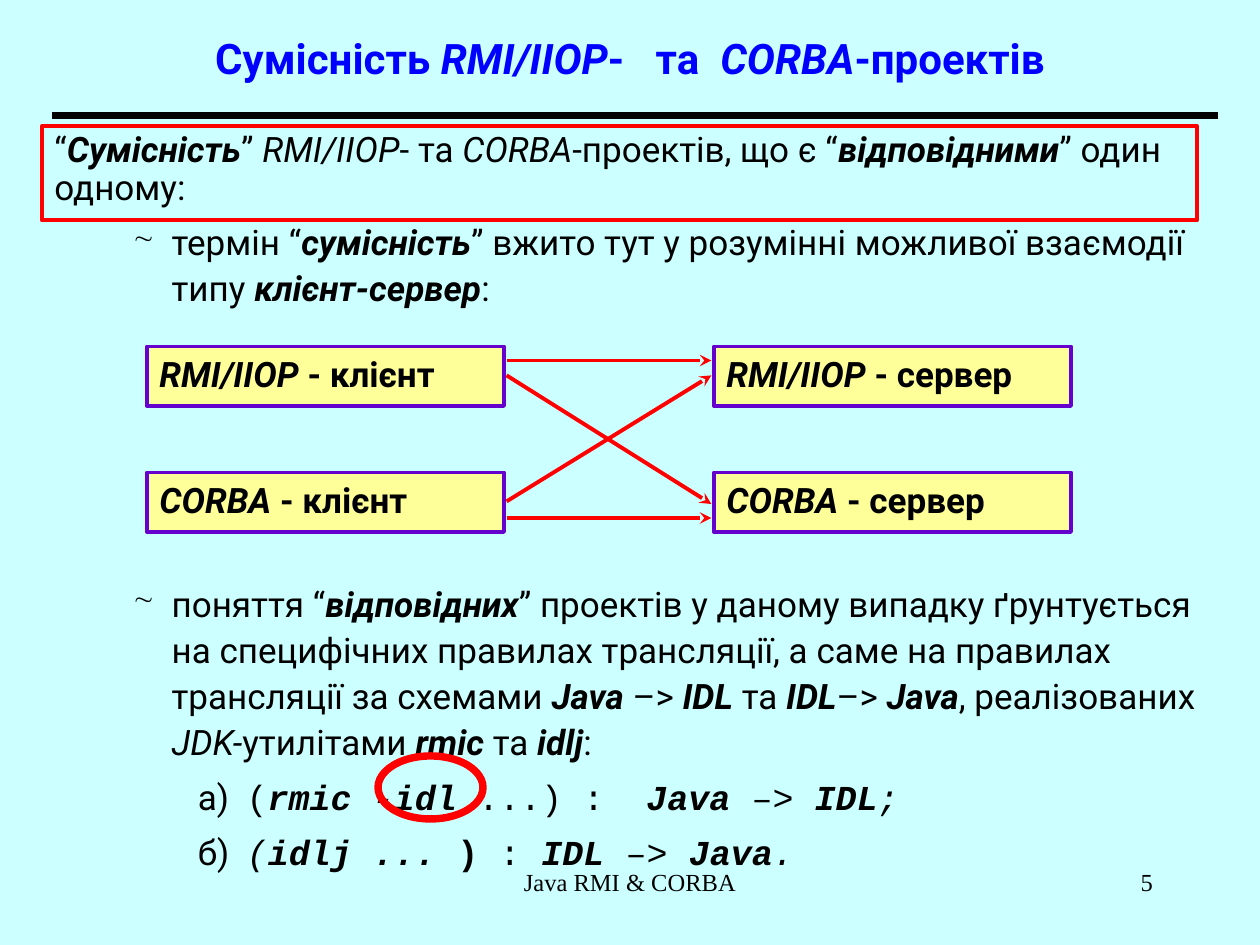
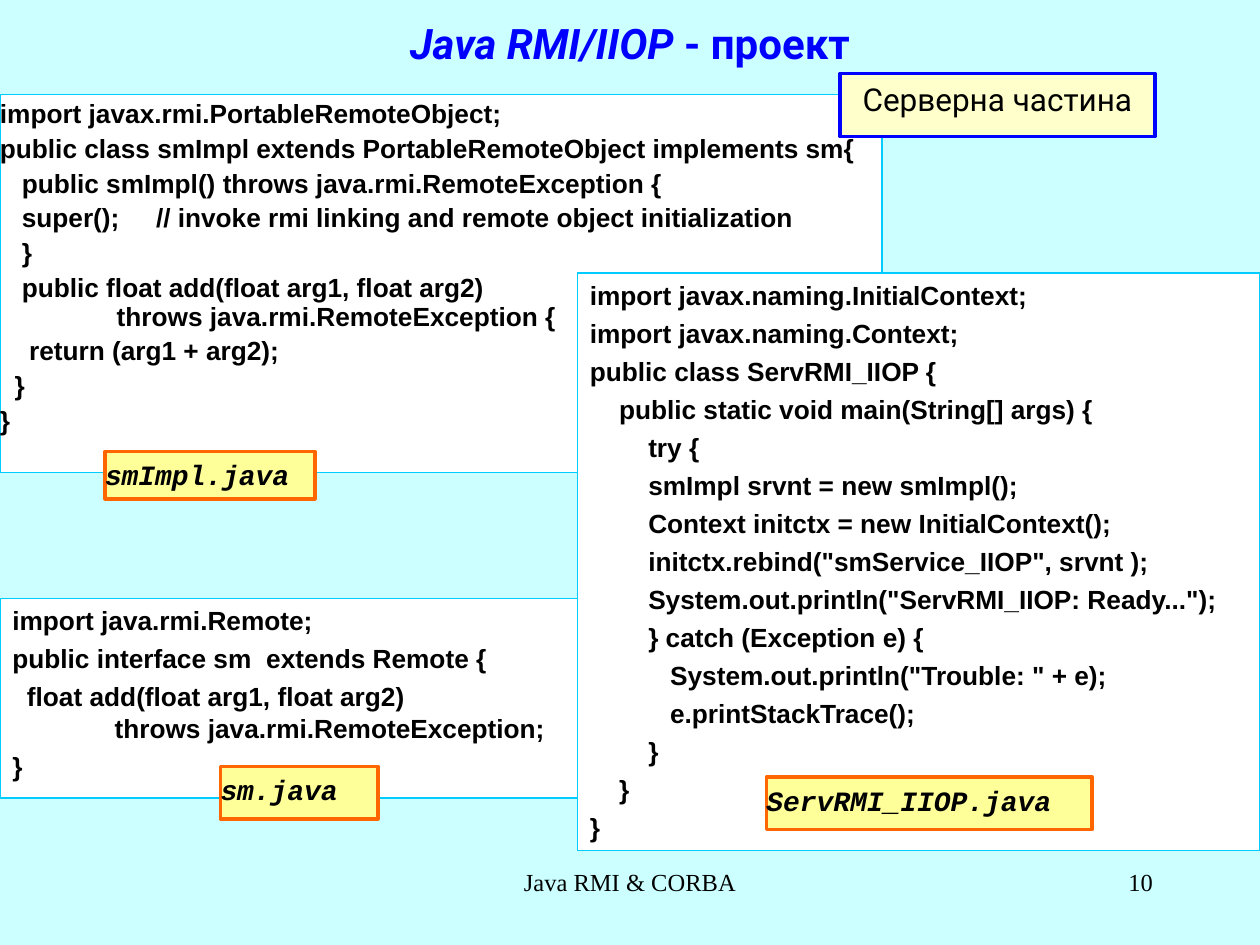
from pptx import Presentation
from pptx.dml.color import RGBColor
from pptx.enum.shapes import MSO_CONNECTOR, MSO_SHAPE
from pptx.enum.text import MSO_ANCHOR, MSO_AUTO_SIZE, PP_ALIGN
from pptx.oxml.ns import qn
from pptx.util import Pt
from lxml import etree

CYAN = RGBColor(0xCC, 0xFF, 0xFF)
BLACK = RGBColor(0, 0, 0)
WHITE = RGBColor(0xFF, 0xFF, 0xFF)
BLUE = RGBColor(0, 0, 0xFF)
RED = RGBColor(0xFF, 0, 0)
YELLOW = RGBColor(0xFF, 0xFF, 0x99)
CREAM = RGBColor(0xFF, 0xFF, 0xCC)
PURPLE = RGBColor(0x66, 0, 0xCC)
ORANGE = RGBColor(0xFF, 0x66, 0)
SKY = RGBColor(0, 0xCC, 0xFF)

SANS, MONO, CODE, SERIF = "Roboto", "Courier New", "Arial", "Times New Roman"
LEFT, CENTER, RIGHT = PP_ALIGN.LEFT, PP_ALIGN.CENTER, PP_ALIGN.RIGHT
TOP, MIDDLE = MSO_ANCHOR.TOP, MSO_ANCHOR.MIDDLE
RECTANGLE, OVAL = MSO_SHAPE.RECTANGLE, MSO_SHAPE.OVAL
STRAIGHT = MSO_CONNECTOR.STRAIGHT
TITLE_ONLY = 5
CODE_SPACE = 4.17


def strong(text):
    """Return a bold italic span."""
    return text, {"bold": True, "italic": True}


def slanted(text):
    """Return an italic span."""
    return text, {"italic": True}


def gap(extra):
    """Return one space widened by extra points."""
    return " ", {"extra": extra}


def write_span(para, text, size=20, font=SANS, color=BLACK, bold=False, italic=False, extra=0):
    """Add one formatted run to a paragraph."""
    span = para.add_run()
    span.text = text
    span.font.size = Pt(size)
    span.font.name = font
    span.font.color.rgb = color
    span.font.bold = bold
    span.font.italic = italic
    if extra:
        span._r.get_or_add_rPr().set("spc", str(round(extra * 100)))


def write_para(frame, *spans, align=LEFT, line=1.0, before=0, margin=0, hang=0, bullet=None, **style):
    """Write one paragraph made of plain strings and (text, format) spans."""
    para = frame.paragraphs[0]
    if para.runs:
        para = frame.add_paragraph()
    para.alignment = align
    para.line_spacing = line
    para.space_before = Pt(before)
    properties = para._p.get_or_add_pPr()
    properties.set("marL", str(Pt(margin)))
    properties.set("indent", str(Pt(-hang)))
    if bullet:
        etree.SubElement(properties, qn("a:buSzPct"), val="80000")
        etree.SubElement(properties, qn("a:buChar"), char=bullet)
    for span in spans:
        text, own = (span, {}) if isinstance(span, str) else span
        write_span(para, text, **{**style, **own})


def prepare_frame(shape, left=7.2, right=7.2, anchor=TOP):
    """Set wrapping, insets and anchor, and return the text frame."""
    frame = shape.text_frame
    frame.word_wrap = True
    frame.auto_size = MSO_AUTO_SIZE.NONE
    frame.margin_left, frame.margin_right = Pt(left), Pt(right)
    frame.margin_top = frame.margin_bottom = Pt(3.6)
    frame.vertical_anchor = anchor
    return frame


def add_text(page, box, **layout):
    """Add a text box and return its frame."""
    return prepare_frame(page.shapes.add_textbox(*map(Pt, box)), **layout)


def add_panel(page, box, line, width, fill=None, kind=RECTANGLE, **layout):
    """Add an outlined shape and return its text frame."""
    shape = page.shapes.add_shape(kind, *map(Pt, box))
    shape.shadow.inherit = False
    if fill is None:
        shape.fill.background()
    else:
        shape.fill.solid()
        shape.fill.fore_color.rgb = fill
    shape.line.color.rgb = line
    shape.line.width = Pt(width)
    return prepare_frame(shape, **layout)


def add_line(page, start, end, color, width, arrow=False):
    """Add a straight connector, optionally with a stealth head."""
    connector = page.shapes.add_connector(STRAIGHT, *map(Pt, start + end))
    connector.line.color.rgb = color
    connector.line.width = Pt(width)
    properties = connector.element.spPr
    if arrow:
        etree.SubElement(properties.find(qn("a:ln")), qn("a:tailEnd"), type="stealth")
    etree.SubElement(properties, qn("a:effectLst"))


def add_page(deck, title_box, title, number, line=1.0):
    """Add a page with its title and footer."""
    page = deck.slides.add_slide(deck.slide_layouts[TITLE_ONLY])
    heading = page.shapes.title
    heading.left, heading.top, heading.width, heading.height = map(Pt, title_box)
    write_para(prepare_frame(heading, anchor=MIDDLE), *title,
               align=CENTER, line=line, size=24, color=BLUE, bold=True)
    for box, text, align in (((246, 492, 228, 36), "Java RMI & CORBA", CENTER),
                             ((516, 492, 150, 36), number, RIGHT)):
        write_para(add_text(page, box), text, align=align, size=14, font=SERIF)
    return page


def add_explanation(page, box):
    """Add the body text with its framed opening statement."""
    left, top, width, height = box
    frame = add_text(page, box, right=0)
    write_para(frame, "“", strong("Сумісність"), "” ", slanted("RMI/IIOP"), "- та ",
               slanted("CORBA"), "-проектів, що є “", strong("відповідними"),
               "” один одному:", line=0.9, before=5)
    bulleted = {"line": 1.1, "margin": 67, "hang": 22.3, "bullet": "∼"}
    write_para(frame, "термін “", strong("сумісність"),
               "” вжито тут у розумінні можливої взаємодії типу ",
               strong("клієнт-сервер"), ":", before=5, **bulleted)
    write_para(frame, "поняття “", strong("відповідних"),
               "” проектів у даному випадку ґрунтується на специфічних правилах "
               "трансляції, а саме на правилах трансляції за схемами ",
               strong("Java "), "–> ", strong("IDL"), " та ", strong("IDL"), "–> ",
               strong("Java"), ", реалізованих ", slanted("JDK-"), "утилітами ",
               strong("rmic "), "та ", strong("idlj"), ":", before=153.7, **bulleted)
    lettered = {"line": 1.1, "before": 5, "margin": 100, "hang": 18, "font": MONO}
    sans = {"font": SANS}
    write_para(frame, ("а)", sans), (" ", {"font": SANS, "extra": 5}), "(",
               strong("rmic -idl"), " ...) :", gap(12), strong("Java "), "–> ",
               strong("IDL"), slanted(";"), **lettered)
    write_para(frame, ("б)", sans), (" ", {"font": SANS, "extra": 5}), slanted("("),
               strong("idlj ... "), (") ", {"bold": True}), ": ", strong("IDL "), "–> ",
               strong("Java"), slanted("."), **lettered)
    add_panel(page, (left, top, 660, 54), RED, 2.25)
    add_panel(page, (left + 192, top + 360, 60, 36), RED, 4.25, kind=OVAL)


def add_interaction(page, left, top):
    """Add clients and servers joined by crossing arrows."""
    width, height, column, row = 204, 34, 324, 72
    for i, role in enumerate(("клієнт", "сервер")):
        for j, protocol in enumerate(("RMI/IIOP ", "CORBA ")):
            frame = add_panel(page, (left + i * column, top + j * row, width, height),
                              PURPLE, 2.25, YELLOW, right=0)
            write_para(frame, slanted(protocol), f"- {role}", bold=True)
    for start, end in ((8, 8), (88.5, 16.5), (16.5, 90), (98, 98)):
        add_line(page, (left + width + 1.5, top + start), (left + column - 1.5, top + end),
                 RED, 2.25, arrow=True)


def add_listing(page, box, rows, line=1.0, inset=7.2):
    """Add a code panel; each row gives its indent in spaces, then its text."""
    frame = add_panel(page, box, SKY, 1, WHITE, left=inset, right=inset)
    for indent, *spans in rows:
        before = 0 if spans[0].startswith("throws") else 3.7
        write_para(frame, *spans, line=line, before=before, margin=indent * CODE_SPACE,
                   size=15, font=CODE, bold=True)


def add_file_tag(page, box, name):
    """Add the orange-framed file name of a listing."""
    frame = add_panel(page, box, ORANGE, 2, YELLOW, left=0, right=0)
    write_para(frame, strong(name), size=16, font=MONO)


def build_compatibility(deck):
    """Build the page on project compatibility."""
    title = (strong_title("Сумісність "), slanted("RMI/IIOP"), "-", gap(12), "та", gap(6),
             slanted("CORBA"), "-проектів")
    page = add_page(deck, (54, 18, 612, 30), title, "5")
    add_line(page, (30, 66), (696, 66), BLACK, 4.5)
    add_explanation(page, (24, 72, 673, 444))
    add_interaction(page, 84, 198)


def strong_title(text):
    """Return an upright title span."""
    return text, {"italic": False}


def build_project(deck):
    """Build the page with the server listings."""
    page = add_page(deck, (0, 0, 720, 54), (slanted("Java RMI/IIOP "), "- проект"), "10", line=0.8)
    add_listing(page, (0, 342, 336, 114), (
        (0, "import java.rmi.Remote;"),
        (0, "public interface sm", gap(CODE_SPACE), "extends Remote {"),
        (2, "float add(float arg1, float arg2)"),
        (14, "throws java.rmi.RemoteException;"),
        (0, "}")))
    add_listing(page, (0, 54, 504, 216), (
        (0, "import javax.rmi.PortableRemoteObject;"),
        (0, "public class smImpl extends PortableRemoteObject implements sm{"),
        (3, "public smImpl() throws java.rmi.RemoteException {"),
        (3, "super();", gap(4 * CODE_SPACE),
         "// invoke rmi linking and remote object initialization"),
        (3, "}"),
        (3, "public float add(float arg1, float arg2)"),
        (16, "throws java.rmi.RemoteException {"),
        (4, "return (arg1 + arg2);"),
        (2, "}"),
        (0, "}")), line=0.9, inset=0)
    add_listing(page, (330, 156, 390, 330), (
        (0, "import javax.naming.InitialContext;"),
        (0, "import javax.naming.Context;"),
        (0, "public class ServRMI_IIOP {"),
        (4, "public static void main(String[] args) {"),
        (8, "try {"),
        (8, "smImpl srvnt = new smImpl();"),
        (8, "Context initctx = new InitialContext();"),
        (8, 'initctx.rebind("smService_IIOP", srvnt );'),
        (8, 'System.out.println("ServRMI_IIOP: Ready...");'),
        (8, "} catch (Exception e) {"),
        (11, 'System.out.println("Trouble: " + e);'),
        (11, "e.printStackTrace();"),
        (8, "}"),
        (4, "}"),
        (0, "}")))
    add_file_tag(page, (60, 258, 120, 27), "smImpl.java")
    add_file_tag(page, (126, 438, 90, 30), "sm.java")
    add_file_tag(page, (438, 444, 186, 30), "ServRMI_IIOP.java")
    part = add_panel(page, (480, 42, 180, 36), BLUE, 2, CREAM, left=0, right=0)
    write_para(part, "Серверна частина", align=CENTER, size=18)


def main():
    """Build and save the deck."""
    deck = Presentation()
    deck.slide_width, deck.slide_height = Pt(720), Pt(540)
    background = deck.slide_master.background.fill
    background.solid()
    background.fore_color.rgb = CYAN
    build_compatibility(deck)
    build_project(deck)
    deck.save("out.pptx")


if __name__ == "__main__":
    main()
